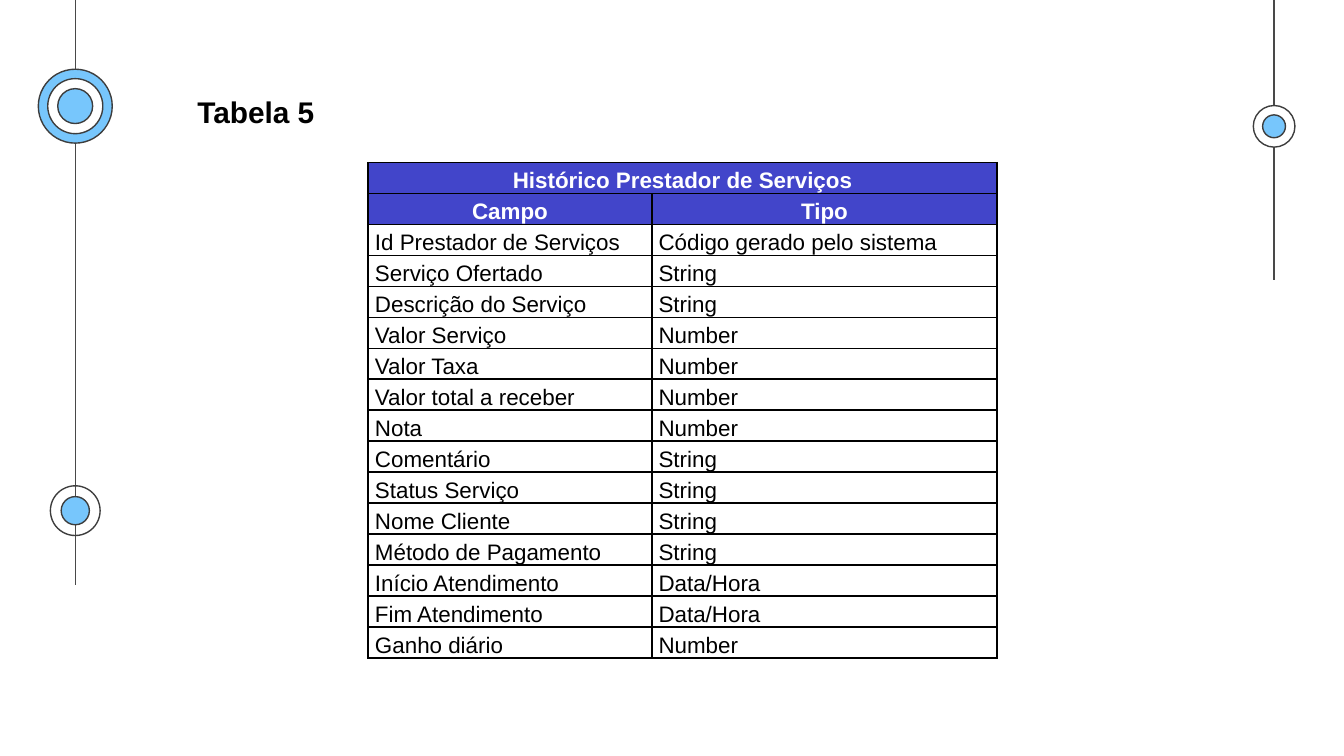
from lxml import etree
from pptx import Presentation
from pptx.dml.color import RGBColor
from pptx.enum.shapes import MSO_CONNECTOR, MSO_SHAPE
from pptx.enum.text import MSO_ANCHOR, MSO_AUTO_SIZE, PP_ALIGN
from pptx.oxml.ns import qn
from pptx.util import Inches, Pt

OVAL = MSO_SHAPE.OVAL
STRAIGHT = MSO_CONNECTOR.STRAIGHT
BOTTOM = MSO_ANCHOR.BOTTOM
LEFT, CENTER = PP_ALIGN.LEFT, PP_ALIGN.CENTER
FIT = MSO_AUTO_SIZE.SHAPE_TO_FIT_TEXT

THEME = {
    "font": "Arial", "title": 16, "body": 12, "stroke": 0.75, "border": 1,
    "black": "000000", "white": "FFFFFF", "head": "4245CA",
    "blue": "77C6FC", "rail": "494949", "ring": "3D3D3D",
}

TITLE = "Tabela 5"
HEADS = [("Histórico Prestador de Serviços", None), ("Campo", "Tipo")]
FIELDS = [
    ("Id Prestador de Serviços", "Código gerado pelo sistema"),
    ("Serviço Ofertado", "String"),
    ("Descrição do Serviço", "String"),
    ("Valor Serviço", "Number"),
    ("Valor Taxa", "Number"),
    ("Valor total a receber", "Number"),
    ("Nota", "Number"),
    ("Comentário", "String"),
    ("Status Serviço", "String"),
    ("Nome Cliente", "String"),
    ("Método de Pagamento", "String"),
    ("Início Atendimento", "Data/Hora"),
    ("Fim Atendimento", "Data/Hora"),
    ("Ganho diário", "Number"),
]
WIDTH = 10
COLS = [2.11, 2.57]
TABLE_HEIGHT = 3.44

# x, bottom end
RAILS = [(0.56, 4.35), (9.48, 2.08)]
# center x, center y, (diameter, fill) from the outside in
DOTS = [
    (0.56, 3.8, [(0.37, None), (0.21, "blue")]),
    (9.48, 0.94, [(0.31, "white"), (0.17, "blue")]),
    (0.56, 0.79, [(0.55, "blue"), (0.41, "white"), (0.26, "blue")]),
]


def color(name):
    return RGBColor.from_string(THEME[name])


def style(font, size, tint, bold):
    font.name = THEME["font"]
    font.size = Pt(THEME[size])
    font.color.rgb = color(tint)
    font.bold = bold


def paint(fill, name):
    if name:
        fill.solid()
        fill.fore_color.rgb = color(name)
    else:
        fill.background()


def add_rail(slide, x, end):
    rail = slide.shapes.add_connector(
        STRAIGHT, Inches(x), 0, Inches(x), Inches(end))
    rail.line.color.rgb = color("rail")
    rail.line.width = Pt(THEME["stroke"])
    etree.SubElement(rail._element.spPr, qn("a:effectLst"))


def add_dot(slide, x, y, rings):
    for size, fill in rings:
        ring = slide.shapes.add_shape(
            OVAL, Inches(x - size / 2), Inches(y - size / 2),
            Inches(size), Inches(size))
        ring.shadow.inherit = False
        paint(ring.fill, fill)
        ring.line.color.rgb = color("ring")
        ring.line.width = Pt(THEME["stroke"])


def add_title(slide):
    box = slide.shapes.add_textbox(
        Inches(1.37), Inches(0.65), Inches(1.1), Inches(0.37))
    frame = box.text_frame
    frame.word_wrap = False
    frame.auto_size = FIT
    frame.text = TITLE
    style(frame.paragraphs[0].font, "title", "black", True)


def add_borders(cell):
    props = cell._tc.get_or_add_tcPr()
    for side in ("lnL", "lnR", "lnT", "lnB"):
        line = etree.SubElement(
            props, qn("a:" + side), w=str(Pt(THEME["border"])))
        fill = etree.SubElement(line, qn("a:solidFill"))
        etree.SubElement(fill, qn("a:srgbClr"), val=THEME["black"])


def fill_cell(cell, text, head):
    add_borders(cell)
    paint(cell.fill, "head" if head else None)
    cell.vertical_anchor = BOTTOM
    cell.margin_left = cell.margin_right = Inches(0.05)
    cell.margin_top = cell.margin_bottom = 0
    para = cell.text_frame.paragraphs[0]
    para.alignment = CENTER if head else LEFT
    para.line_spacing = 1.15
    style(para.font, "body", "white" if head else "black", head)
    if text:
        para.add_run().text = text


def add_grid(slide):
    rows = HEADS + FIELDS
    table = slide.shapes.add_table(
        len(rows), len(COLS), Inches(2.74), Inches(1.21),
        Inches(sum(COLS)), Inches(TABLE_HEIGHT)).table
    table.first_row = table.horz_banding = False
    for col, width in zip(table.columns, COLS):
        col.width = Inches(width)
    for r, row in enumerate(rows):
        table.rows[r].height = Inches(TABLE_HEIGHT / len(rows))
        for c, text in enumerate(row):
            fill_cell(table.cell(r, c), text, r < len(HEADS))
    table.cell(0, 0).merge(table.cell(0, 1))


def main():
    deck = Presentation()
    deck.slide_width = Inches(WIDTH)
    deck.slide_height = Inches(WIDTH * 9 / 16)
    slide = deck.slides.add_slide(deck.slide_layouts[6])
    paint(slide.background.fill, "white")
    for rail in RAILS:
        add_rail(slide, *rail)
    for dot in DOTS:
        add_dot(slide, *dot)
    add_title(slide)
    add_grid(slide)
    deck.save("out.pptx")


if __name__ == "__main__":
    main()
